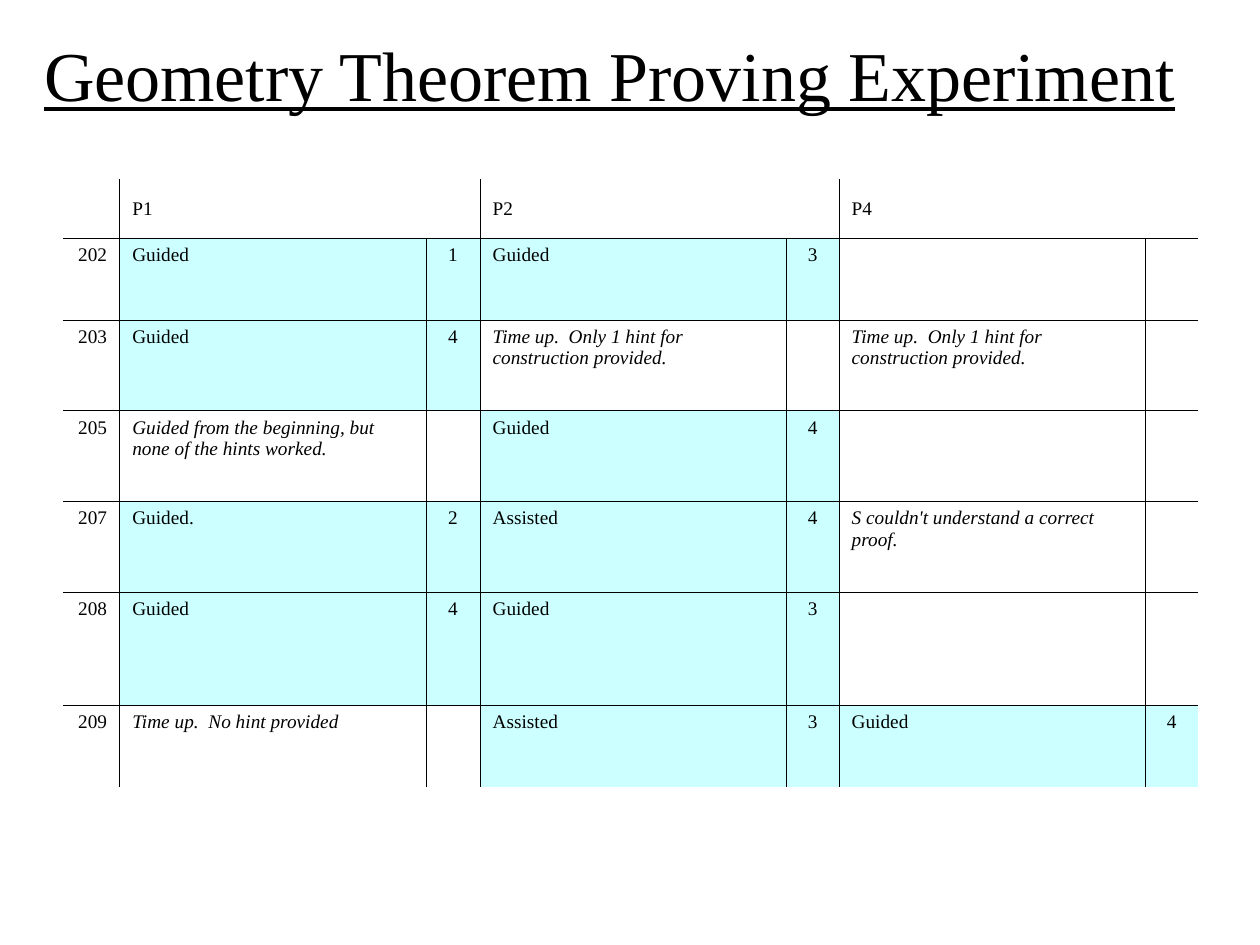
from lxml.etree import SubElement
from pptx import Presentation
from pptx.dml.color import RGBColor
from pptx.enum.text import MSO_ANCHOR, PP_ALIGN
from pptx.oxml.ns import qn
from pptx.util import Inches, Pt

BLACK = RGBColor(0x00, 0x00, 0x00)
SOLVED_FILL = RGBColor(0xCC, 0xFF, 0xFF)

COLUMN_WIDTHS = [0.45, 2.43, 0.43, 2.43, 0.42, 2.43, 0.42]
ROW_HEIGHTS = [0.47, 0.65, 0.72, 0.72, 0.72, 0.9, 0.65]
PROBLEMS = ["P1", "P2", "P4"]
ONE_HINT = "Time up.  Only 1 hint for construction provided."

# Subject, then one (outcome, score) pair per problem; no score means unsolved
RESULTS = [
    ("202", ("Guided", "1"), ("Guided", "3"), ("", "")),
    ("203", ("Guided", "4"), (ONE_HINT, ""), (ONE_HINT, "")),
    ("205", ("Guided from the beginning, but none of the hints worked.", ""),
     ("Guided", "4"), ("", "")),
    ("207", ("Guided.", "2"), ("Assisted", "4"),
     ("S couldn't understand a correct proof.", "")),
    ("208", ("Guided", "4"), ("Guided", "3"), ("", "")),
    ("209", ("Time up.  No hint provided", ""), ("Assisted", "3"), ("Guided", "4")),
]


class SlideBuilder:
    font_name = "Times New Roman"
    title_size = 40
    cell_size = 11
    rule_width = Pt(0.45)

    def __init__(self, page):
        self.page = page

    def add_span(self, para, text, size, italic=False, underline=False):
        span = para.add_run()
        span.text = text
        span.font.name = self.font_name
        span.font.size = Pt(size)
        span.font.color.rgb = BLACK
        span.font.bold = False
        span.font.italic = italic
        span.font.underline = underline

    def add_title(self, text, left, top, width, height):
        box = self.page.shapes.title
        box.left, box.top = Inches(left), Inches(top)
        box.width, box.height = Inches(width), Inches(height)
        box.text_frame.vertical_anchor = MSO_ANCHOR.MIDDLE
        para = box.text_frame.paragraphs[0]
        para.alignment = PP_ALIGN.LEFT
        self.add_span(para, text, self.title_size, underline=True)

    def add_table(self, left, top, widths, heights):
        frame = self.page.shapes.add_table(
            len(heights), len(widths), Inches(left), Inches(top),
            Inches(sum(widths)), Inches(sum(heights)))
        table = frame.table
        table.first_row = table.horz_banding = False
        for column, width in zip(table.columns, widths):
            column.width = Inches(width)
        for row, height in zip(table.rows, heights):
            row.height = Inches(height)
        return table

    def rule_cell(self, cell, visible_sides):
        properties = cell._tc.get_or_add_tcPr()
        for side in "LRTB":
            line = SubElement(properties, qn(f"a:ln{side}"), w=str(self.rule_width))
            if side in visible_sides:
                fill = SubElement(line, qn("a:solidFill"))
                SubElement(fill, qn("a:srgbClr"), val=str(BLACK))
            else:
                SubElement(line, qn("a:noFill"))

    def fill_cell(self, cell, text, align=PP_ALIGN.LEFT, italic=False, color=None):
        cell.margin_left = cell.margin_right = Inches(0.1)
        cell.margin_top = cell.margin_bottom = Inches(0.05)
        if color is None:
            cell.fill.background()
        else:
            cell.fill.solid()
            cell.fill.fore_color.rgb = color
        para = cell.text_frame.paragraphs[0]
        para.alignment = align
        para.font.size = Pt(self.cell_size)
        if text:
            self.add_span(para, text, self.cell_size, italic)


def inner_sides(row, column):
    """Sides that carry a rule: inner edges only, none inside the P4 heading."""
    last_row, last_column = len(ROW_HEIGHTS) - 1, len(COLUMN_WIDTHS) - 1
    shown = {
        "L": column > 0 and (row, column) != (0, last_column),
        "R": column < last_column and (row, column) != (0, last_column - 1),
        "T": row > 0,
        "B": row < last_row,
    }
    return [side for side, visible in shown.items() if visible]


def main():
    deck = Presentation()
    deck.slide_width, deck.slide_height = Inches(10), Inches(7.5)
    builder = SlideBuilder(deck.slides.add_slide(deck.slide_layouts[5]))
    builder.add_title("Geometry Theorem Proving Experiment", 0.25, 0.17, 9.25, 0.83)

    # Grid and rules
    table = builder.add_table(0.5, 1.42, COLUMN_WIDTHS, ROW_HEIGHTS)
    for row in range(len(ROW_HEIGHTS)):
        for column in range(len(COLUMN_WIDTHS)):
            builder.rule_cell(table.cell(row, column), inner_sides(row, column))

    # Heading row: P1 and P2 span their outcome and score columns
    for column in (1, 3):
        table.cell(0, column).merge(table.cell(0, column + 1))
    headings = [""]
    for problem in PROBLEMS:
        headings += [problem, ""]
    for column, heading in enumerate(headings):
        cell = table.cell(0, column)
        builder.fill_cell(cell, heading)
        cell.vertical_anchor = MSO_ANCHOR.MIDDLE

    # One row per subject
    for row, (subject, *attempts) in enumerate(RESULTS, start=1):
        builder.fill_cell(table.cell(row, 0), subject, PP_ALIGN.RIGHT)
        for index, (outcome, score) in enumerate(attempts):
            column = 1 + 2 * index
            color = SOLVED_FILL if score else None
            builder.fill_cell(table.cell(row, column), outcome,
                              italic=not score, color=color)
            builder.fill_cell(table.cell(row, column + 1), score,
                              PP_ALIGN.CENTER, color=color)

    deck.save("out.pptx")


if __name__ == "__main__":
    main()
